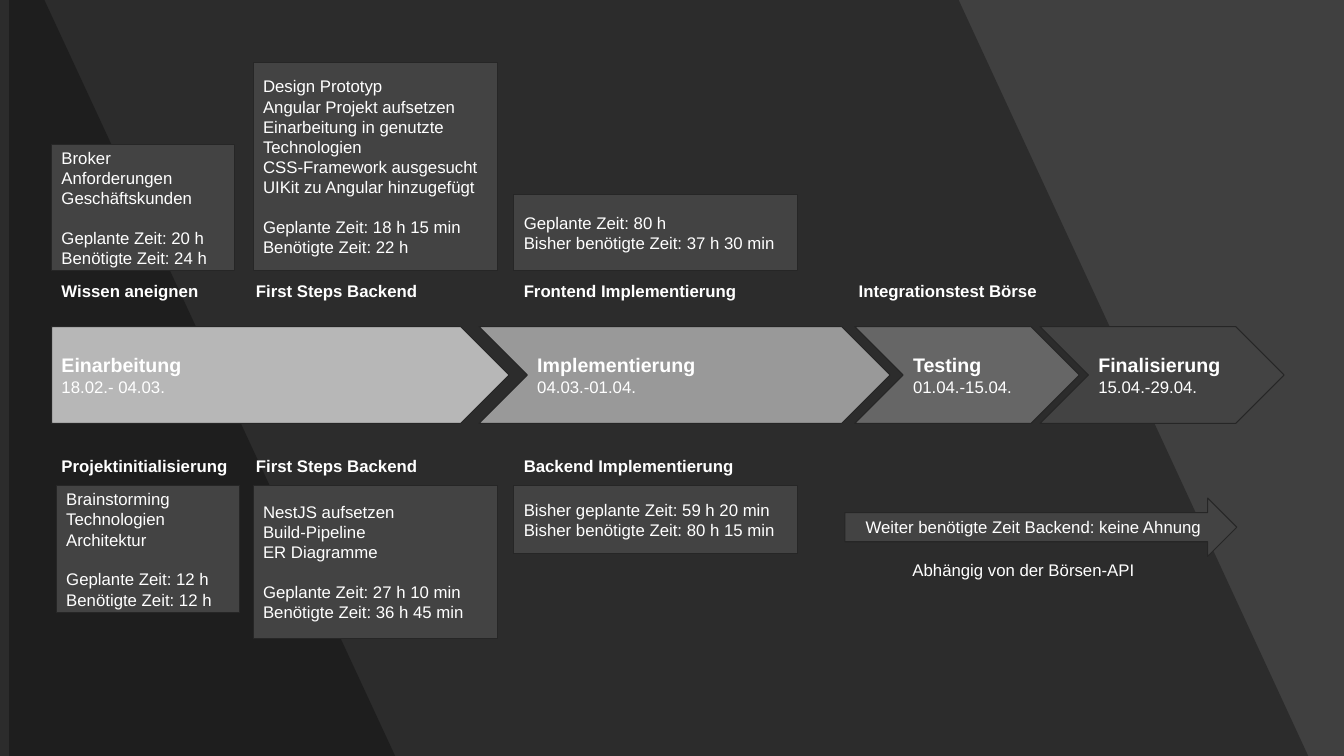
from lxml import etree
from pptx import Presentation
from pptx.dml.color import RGBColor
from pptx.enum.shapes import MSO_SHAPE
from pptx.enum.text import MSO_ANCHOR, PP_ALIGN
from pptx.oxml.ns import qn
from pptx.util import Cm, Pt

RECTANGLE, PENTAGON = MSO_SHAPE.RECTANGLE, MSO_SHAPE.PENTAGON
CHEVRON, RIGHT_ARROW = MSO_SHAPE.CHEVRON, MSO_SHAPE.RIGHT_ARROW
TOP, MIDDLE = MSO_ANCHOR.TOP, MSO_ANCHOR.MIDDLE
LEFT, CENTER = PP_ALIGN.LEFT, PP_ALIGN.CENTER


class Theme:
    font = "Arial"
    background = RGBColor.from_string("404040")
    shade = RGBColor.from_string("000000")
    shade_opacity = "30000"
    box = RGBColor.from_string("434343")
    outline = RGBColor.from_string("262626")
    text = RGBColor.from_string("FFFFFF")
    phases = [RGBColor.from_string(c) for c in ("B7B7B7", "999999", "666666", "434343")]
    heading_size = Pt(14)
    body_size = Pt(12)
    section_gap = Pt(14)
    outline_width = Pt(0.75)


def write_text(box, lines, align=LEFT, anchor=MIDDLE, bold=False):
    frame = box.text_frame
    frame.word_wrap = True
    frame.vertical_anchor = anchor
    frame.margin_left = frame.margin_right = Cm(0.25)
    frame.margin_top = frame.margin_bottom = Cm(0.25)
    frame.text = "\n".join(lines)
    for para in frame.paragraphs:
        para.alignment = align
        for span in para.runs:
            span.font.name = Theme.font
            span.font.size = Theme.body_size
            span.font.bold = bold
            span.font.color.rgb = Theme.text
    return frame.paragraphs


def add_box(kind, left, top, width, height, fill):
    box = page.shapes.add_shape(kind, Cm(left), Cm(top), Cm(width), Cm(height))
    box.shadow.inherit = False
    box.fill.solid()
    box.fill.fore_color.rgb = fill
    box.line.color.rgb = Theme.outline
    box.line.width = Theme.outline_width
    return box


deck = Presentation()
deck.slide_width, deck.slide_height = Cm(33.87), Cm(19.05)
page = deck.slides.add_slide(deck.slide_layouts[6])

# Background with two translucent slanted panels
page.background.fill.solid()
page.background.fill.fore_color.rgb = Theme.background
for left, top_right, bottom_right in [(0.23, 24.16, 32.97), (0, 1.12, 9.96)]:
    corners = [(top_right, 0), (bottom_right, 19.05), (left, 19.05)]
    outline = page.shapes.build_freeform(Cm(left), 0)
    outline.add_line_segments([(Cm(x), Cm(y)) for x, y in corners], close=True)
    panel = outline.convert_to_shape()
    panel.shadow.inherit = False
    panel.fill.solid()
    panel.fill.fore_color.rgb = Theme.shade
    panel.line.fill.background()
    colour = next(panel.element.iter(qn("a:srgbClr")))
    etree.SubElement(colour, qn("a:alpha")).set("val", Theme.shade_opacity)

# Phases of the timeline
phases = [
    (PENTAGON, 1.3, 11.53, "Einarbeitung", "18.02.- 04.03."),
    (CHEVRON, 12.07, 10.36, "Implementierung", "04.03.-01.04."),
    (CHEVRON, 21.54, 5.66, "Testing", "01.04.-15.04."),
    (CHEVRON, 26.21, 6.15, "Finalisierung", "15.04.-29.04."),
]
for (kind, left, width, name, dates), fill in zip(phases, Theme.phases):
    phase = add_box(kind, left, 8.23, width, 2.44, fill)
    heading = write_text(phase, [name, dates])[0].runs[0]
    heading.font.size = Theme.heading_size
    heading.font.bold = True

# Task boxes: the upper ones stand on one line, the lower ones hang from another
UPPER_BOTTOM, LOWER_TOP = 6.83, 12.24
upper_boxes = [
    (1.3, 4.62, 3.2, ["Broker", "Anforderungen Geschäftskunden"],
     ["Geplante Zeit: 20 h", "Benötigte Zeit: 24 h"]),
    (6.38, 6.15, 5.26,
     ["Design Prototyp", "Angular Projekt aufsetzen",
      "Einarbeitung in genutzte Technologien", "CSS-Framework ausgesucht",
      "UIKit zu Angular hinzugefügt"],
     ["Geplante Zeit: 18 h 15 min", "Benötigte Zeit: 22 h"]),
    (12.95, 7.16, 1.93, [],
     ["Geplante Zeit: 80 h", "Bisher benötigte Zeit: 37 h 30 min"]),
]
lower_boxes = [
    (1.42, 4.62, 3.2, ["Brainstorming", "Technologien", "Architektur"],
     ["Geplante Zeit: 12 h", "Benötigte Zeit: 12 h"]),
    (6.38, 6.15, 3.84, ["NestJS aufsetzen", "Build-Pipeline", "ER Diagramme"],
     ["Geplante Zeit: 27 h 10 min", "Benötigte Zeit: 36 h 45 min"]),
    (12.95, 7.16, 1.7, [],
     ["Bisher geplante Zeit: 59 h 20 min", "Bisher benötigte Zeit: 80 h 15 min"]),
]
for boxes, is_upper in [(upper_boxes, True), (lower_boxes, False)]:
    for left, width, height, tasks, times in boxes:
        top = UPPER_BOTTOM - height if is_upper else LOWER_TOP
        box = add_box(RECTANGLE, left, top, width, height, Theme.box)
        paras = write_text(box, tasks + times)
        if tasks:
            paras[len(tasks)].space_before = Theme.section_gap

# Outlook arrow and its remark
arrow = add_box(RIGHT_ARROW, 21.29, 12.55, 9.88, 1.47, Theme.box)
write_text(arrow, ["Weiter benötigte Zeit Backend: keine Ahnung"], CENTER)
remark = page.shapes.add_textbox(Cm(22.48), Cm(13.84), Cm(6.63), Cm(1.02))
write_text(remark, ["Abhängig von der Börsen-API"], CENTER)

# Labels above and below the timeline
label_rows = [
    (6.83, [(1.3, 4.62, "Wissen aneignen"), (6.2, 4.62, "First Steps Backend"),
            (12.95, 5.94, "Frontend Implementierung"),
            (21.39, 5.94, "Integrationstest Börse")]),
    (11.23, [(1.3, 4.9, "Projektinitialisierung"), (6.2, 4.62, "First Steps Backend"),
             (12.95, 6.63, "Backend Implementierung")]),
]
for top, labels in label_rows:
    for left, width, title in labels:
        label = page.shapes.add_textbox(Cm(left), Cm(top), Cm(width), Cm(1.02))
        write_text(label, [title], anchor=TOP, bold=True)

deck.save("out.pptx")
